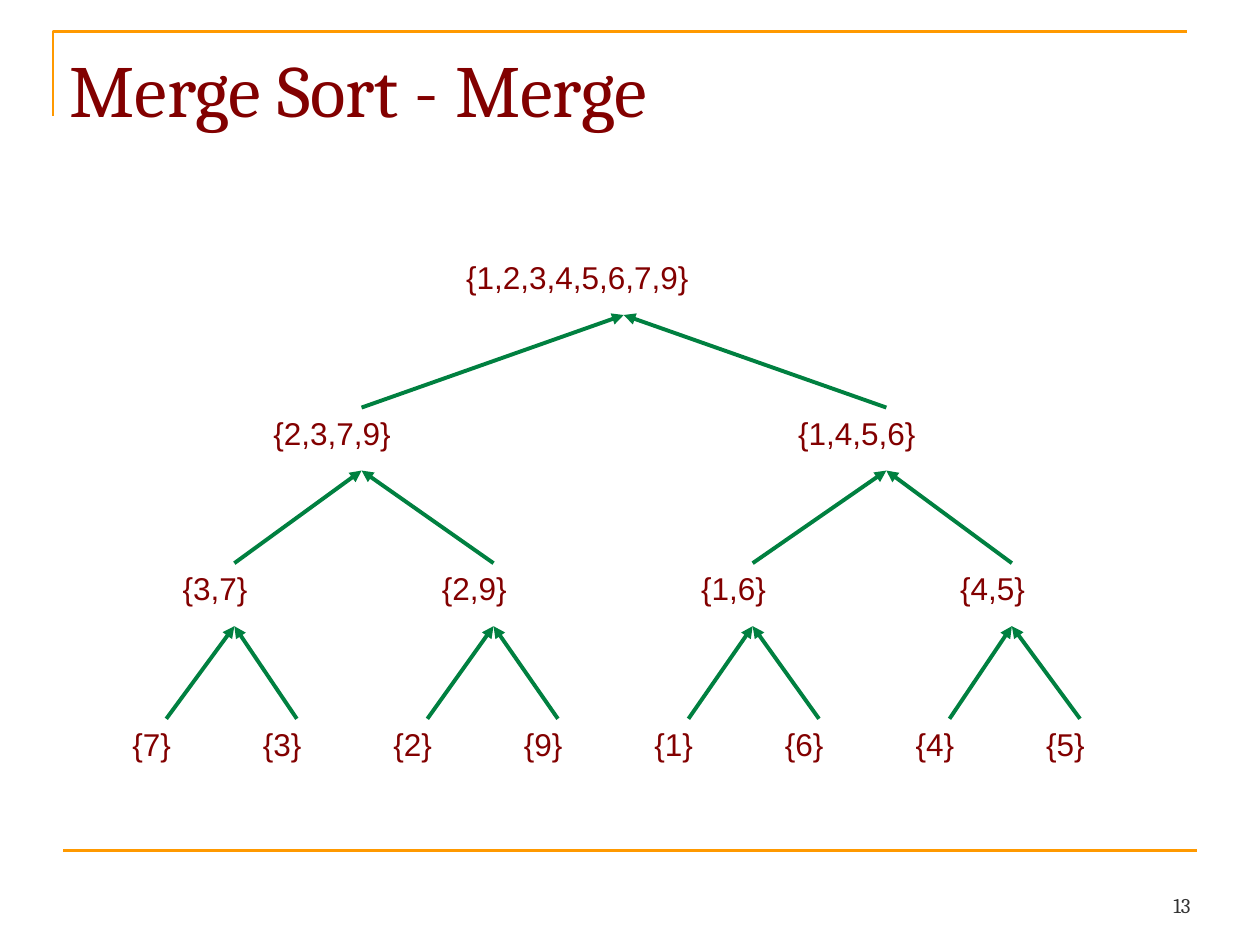
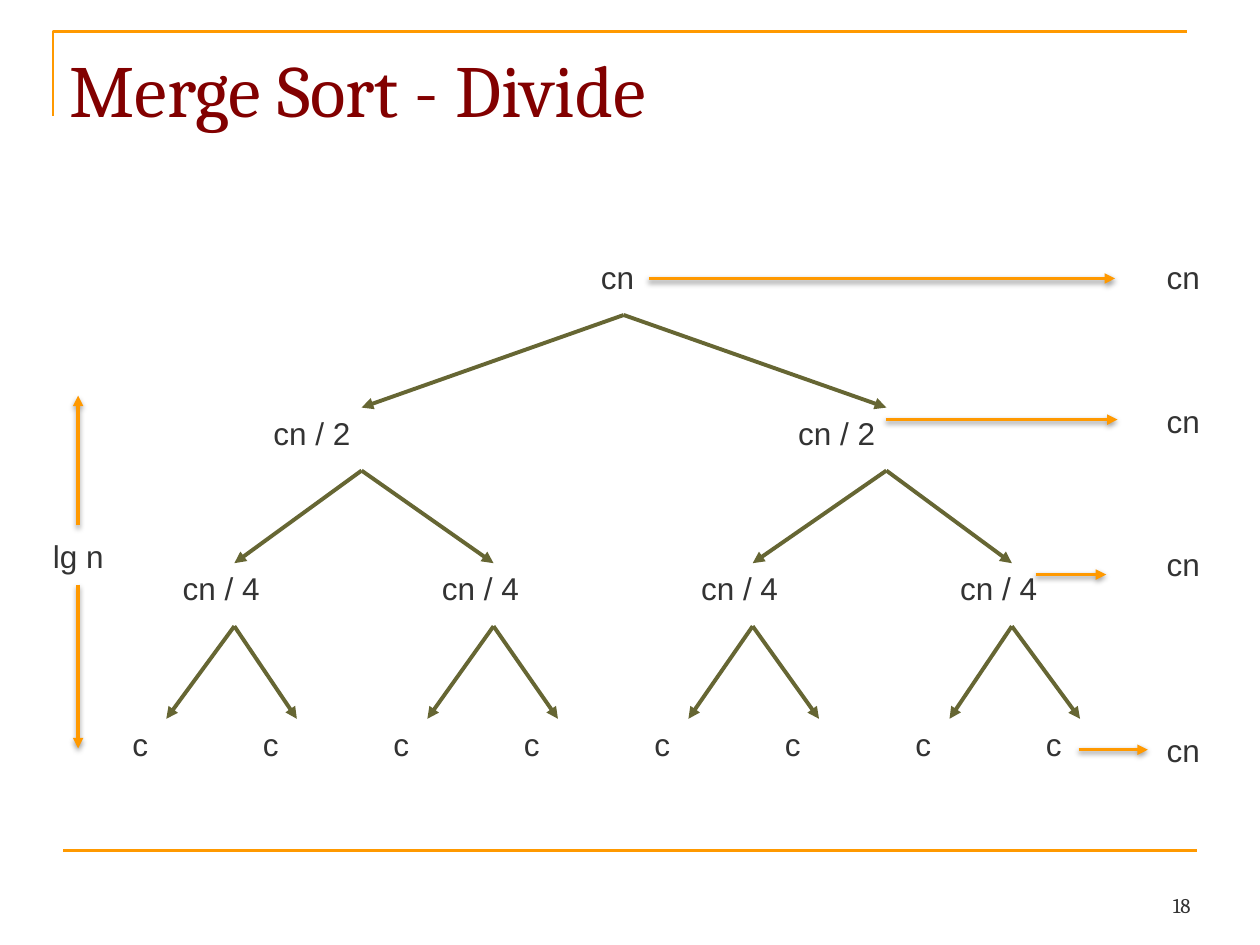
"""Build two merge sort tree slides: the merge phase and the cost of dividing."""
from dataclasses import dataclass

from lxml import etree
from pptx import Presentation
from pptx.dml.color import RGBColor
from pptx.enum.shapes import MSO_CONNECTOR
from pptx.enum.text import MSO_ANCHOR, MSO_AUTO_SIZE, PP_ALIGN
from pptx.oxml.ns import qn
from pptx.shapes.connector import Connector
from pptx.slide import Slide
from pptx.text.text import TextFrame
from pptx.util import Inches, Pt

STRAIGHT = MSO_CONNECTOR.STRAIGHT
TOP, BOTTOM = MSO_ANCHOR.TOP, MSO_ANCHOR.BOTTOM
LEFT, RIGHT = PP_ALIGN.LEFT, PP_ALIGN.RIGHT
NO_AUTOFIT = MSO_AUTO_SIZE.NONE

COLORS = {
    "maroon": "820000",
    "text": "333333",
    "accent": "FF9900",
    "merge": "008040",
    "divide": "666633",
}
BODY_FONT, TITLE_FONT = "Arial", "Cambria"
LABEL_HEIGHT = 0.38
COST_WIDTH = 0.56
TREE_TOP, LEVEL_STEP = 2.0, 1.235
BRANCH_DROP = 0.5  # from the top of a label to the start of its branches


@dataclass(frozen=True)
class Level:
    """Horizontal rule of one tree level: first label, first branch point, gap."""
    label_left: float
    joint: float
    gap: float

    def label_x(self, index: int) -> float:
        """Left edge of the label at this index."""
        return self.label_left + index * self.gap

    def joint_x(self, index: int) -> float:
        """Point where branches meet the node at this index."""
        return self.joint + index * self.gap


@dataclass(frozen=True)
class Row:
    """Labels of one tree level and the width of each label box."""
    labels: list[str]
    width: float


@dataclass(frozen=True)
class Tree:
    """Root label with its place, the rows below it, and the colours."""
    root: str
    root_left: float
    root_width: float
    rows: list[Row]
    text_color: str
    branch_color: str
    arrow_end: str


@dataclass(frozen=True)
class LevelCost:
    """Arrow from a tree level to the total cost of that level."""
    start: float
    end: float
    arrow_y: float
    label_top: float


ROOT_JOINT = Level(4.95, 4.95, 0)
LEVELS = [Level(2.12, 2.87, 4.165), Level(1.4, 1.86, 2.057),
          Level(1.0, 1.32, 1.036)]

MERGE_TREE = Tree(
    "{1,2,3,4,5,6,7,9}", 3.65, 1.88,
    [Row(["{2,3,7,9}", "{1,4,5,6}"], 1.05),
     Row(["{3,7}", "{2,9}", "{1,6}", "{4,5}"], 0.63),
     Row([f"{{{number}}}" for number in (7, 3, 2, 9, 1, 6, 4, 5)], 0.42)],
    "maroon", "merge", "headEnd")
DIVIDE_TREE = Tree(
    "cn", 4.72, COST_WIDTH,
    [Row(["cn / 2"] * 2, 0.73), Row(["cn / 4"] * 4, 0.73), Row(["c"] * 8, 0.24)],
    "text", "divide", "tailEnd")

LEVEL_COSTS = [
    LevelCost(5.15, 8.85, 2.21, 2.0),
    LevelCost(7.03, 8.87, 3.33, 3.14),
    LevelCost(8.22, 8.78, 4.56, 4.28),
    LevelCost(8.56, 9.11, 5.95, 5.75),
]


def rgb(name: str) -> RGBColor:
    """Look up a palette colour."""
    return RGBColor.from_string(COLORS[name])


def write(frame: TextFrame, text: str, size: float, font: str, color: str,
          align: PP_ALIGN = LEFT, anchor: MSO_ANCHOR = TOP) -> None:
    """Put one formatted run in a text frame with narrow margins."""
    frame.margin_left = frame.margin_right = Inches(0.05)
    frame.margin_top = frame.margin_bottom = Inches(0.05)
    frame.vertical_anchor = anchor
    paragraph = frame.paragraphs[0]
    paragraph.alignment = align
    run = paragraph.add_run()
    run.text = text
    run.font.size = Pt(size)
    run.font.name = font
    run.font.color.rgb = rgb(color)


def add_label(slide: Slide, text: str, left: float, top: float, width: float,
              color: str = "text") -> None:
    """Add a one-line label."""
    box = slide.shapes.add_textbox(Inches(left), Inches(top), Inches(width),
                                   Inches(LABEL_HEIGHT))
    box.text_frame.word_wrap = False
    write(box.text_frame, text, 18, BODY_FONT, color)


def add_line(slide: Slide, start: tuple[float, float], end: tuple[float, float],
             color: str, weight: float, arrow_end: str = "",
             shadow: bool = False) -> Connector:
    """Add a straight line, with an optional arrowhead and soft shadow."""
    line = slide.shapes.add_connector(STRAIGHT, *map(Inches, start + end))
    line.line.color.rgb = rgb(color)
    line.line.width = Pt(weight)
    properties = line._element.spPr
    if arrow_end:
        outline = properties.find(qn("a:ln"))
        etree.SubElement(outline, qn(f"a:{arrow_end}"), type="triangle")
    effects = etree.SubElement(properties, qn("a:effectLst"))
    if shadow:
        outer = etree.SubElement(effects, qn("a:outerShdw"), blurRad=str(Pt(3)),
                                 dist=str(Pt(1.6)), dir="5400000", rotWithShape="0")
        black = etree.SubElement(outer, qn("a:srgbClr"), val="000000")
        etree.SubElement(black, qn("a:alpha"), val="38000")
    return line


def add_frame(slide: Slide) -> None:
    """Draw the corner bracket above the title and the rule above the footer."""
    builder = slide.shapes.build_freeform(Inches(0.42), Inches(0.92))
    builder.add_line_segments([(Inches(0.42), Inches(0.25)),
                               (Inches(9.42), Inches(0.25))], close=False)
    bracket = builder.convert_to_shape()
    bracket.shadow.inherit = False
    bracket.fill.background()
    bracket.line.color.rgb = rgb("accent")
    bracket.line.width = Pt(1.5)
    add_line(slide, (0.5, 6.75), (9.5, 6.75), "accent", 1.5)


def add_base_slide(deck: Presentation, title: str, number: int) -> Slide:
    """Add a slide with its frame, title and page number."""
    slide = deck.slides.add_slide(deck.slide_layouts[5])
    add_frame(slide)
    heading = slide.shapes.title
    heading.left, heading.top = Inches(0.5), Inches(0.3)
    heading.width, heading.height = Inches(9), Inches(1.03)
    heading.text_frame.auto_size = NO_AUTOFIT
    write(heading.text_frame, title, 42, TITLE_FONT, "maroon")
    page = slide.shapes.add_textbox(Inches(9.23), Inches(7.05), Inches(0.27),
                                    Inches(0.28))
    page.text_frame.word_wrap = False
    write(page.text_frame, str(number), 12, TITLE_FONT, "text", RIGHT, BOTTOM)
    return slide


def add_tree(slide: Slide, tree: Tree) -> None:
    """Draw a binary tree: each node hangs from the node at half its index."""
    add_label(slide, tree.root, tree.root_left, TREE_TOP, tree.root_width,
              tree.text_color)
    parent, parent_top = ROOT_JOINT, TREE_TOP
    for level, row in zip(LEVELS, tree.rows):
        top = parent_top + LEVEL_STEP
        for index, label in enumerate(row.labels):
            add_label(slide, label, level.label_x(index), top, row.width,
                      tree.text_color)
            add_line(slide, (parent.joint_x(index // 2), parent_top + BRANCH_DROP),
                     (level.joint_x(index), top), tree.branch_color, 2.25,
                     tree.arrow_end)
        parent, parent_top = level, top


def add_costs(slide: Slide) -> None:
    """Add the cost of each level and the height of the tree."""
    for cost in LEVEL_COSTS:
        add_line(slide, (cost.start, cost.arrow_y), (cost.end, cost.arrow_y),
                 "accent", 2, "tailEnd", shadow=True)
        add_label(slide, "cn", 9.21, cost.label_top, COST_WIDTH)
    for start, end in ((4.17, 3.14), (4.64, 5.94)):
        add_line(slide, (0.62, start), (0.62, end), "accent", 2, "tailEnd",
                 shadow=True)
    add_label(slide, "lg n", 0.37, 4.21, 0.52)


def main() -> None:
    """Build and save the deck."""
    deck = Presentation()
    deck.slide_width, deck.slide_height = Inches(10), Inches(7.5)
    add_tree(add_base_slide(deck, "Merge Sort - Merge", 13), MERGE_TREE)
    divide_slide = add_base_slide(deck, "Merge Sort - Divide", 18)
    add_tree(divide_slide, DIVIDE_TREE)
    add_costs(divide_slide)
    deck.save("out.pptx")


main()
